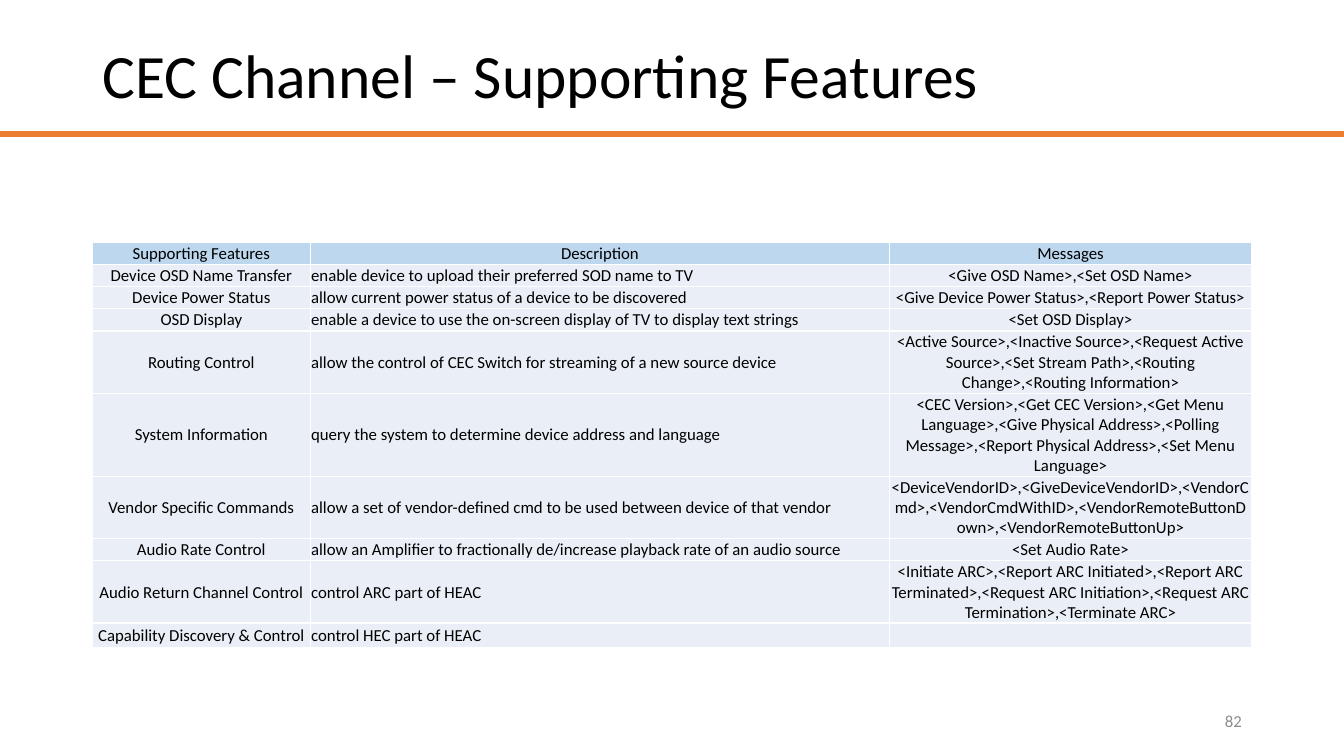
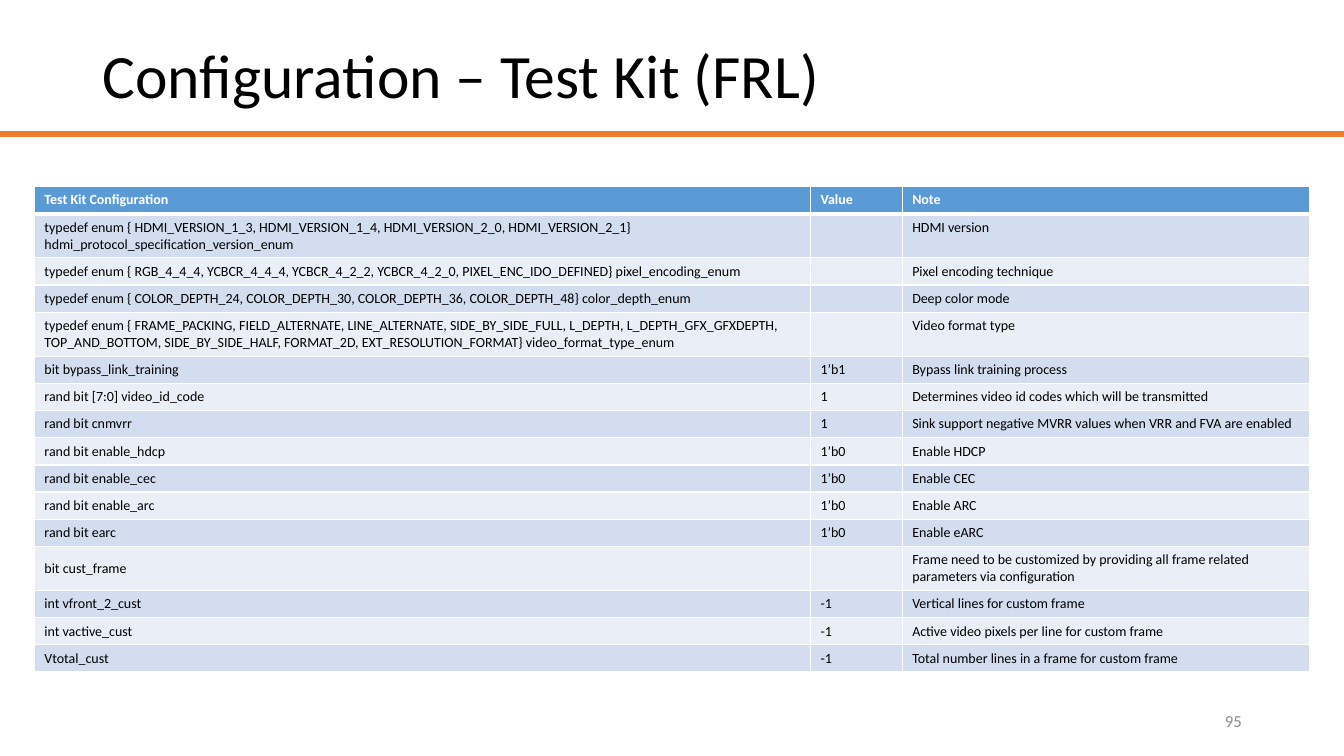
from dataclasses import dataclass

import lxml.etree
import pptx
import pptx.dml.color
import pptx.enum.shapes
import pptx.enum.text
import pptx.oxml.ns
import pptx.util

Cm = pptx.util.Cm
Pt = pptx.util.Pt
Align = pptx.enum.text.PP_ALIGN
Anchor = pptx.enum.text.MSO_ANCHOR
qn = pptx.oxml.ns.qn

FONT = "Calibri"
COLORS = {
    "rule": "ED7D31",
    "text": "000000",
    "number": "8C8C8C",
    "white": "FFFFFF",
    "header_soft": "BDD7EE",
    "header_strong": "5B9BD5",
    "band_dark": "D2DEEF",
    "band_light": "EAEFF7",
}
SLIDE_WIDTH, SLIDE_HEIGHT = 33.87, 19.05
RULE_Y = 3.38


@dataclass(frozen=True)
class Box:
    left: float
    top: float
    width: float
    height: float


@dataclass(frozen=True)
class Column:
    width: float
    align: Align = Align.LEFT
    anchor: Anchor = Anchor.MIDDLE


@dataclass(frozen=True)
class TableStyle:
    size: float
    header_fill: str
    header_color: str
    header_bold: bool
    header_align: Align
    header_rule: float
    bands: tuple[str, ...]
    margins: tuple[float, float, float, float]


@dataclass(frozen=True)
class TablePage:
    title: str
    number: str
    left: float
    top: float
    columns: tuple[Column, ...]
    heights: tuple[float, ...]
    style: TableStyle
    rows: tuple[tuple[str, str, str], ...]


TITLE_BOX = Box(2.33, 1.02, 29.21, 3.68)
NUMBER_BOX = Box(23.93, 17.65, 7.62, 1.01)

ONE, THREE, FOUR, LAST = 0.56, 1.57, 2.09, 0.62
FEATURES = TablePage(
    title="CEC Channel – Supporting Features",
    number="82",
    left=2.33,
    top=6.1,
    columns=(
        Column(5.49, Align.CENTER),
        Column(14.6),
        Column(9.12, Align.CENTER),
    ),
    heights=(ONE, ONE, ONE, ONE, THREE, FOUR, THREE, ONE, THREE, LAST),
    style=TableStyle(12, "header_soft", "text", False, Align.CENTER, 1,
                     ("band_light",), (0.02, 0.02, 0.02, 0)),
    rows=(
        ("Supporting Features", "Description", "Messages"),
        ("Device OSD Name Transfer",
         "enable device to upload their preferred SOD name to TV",
         "<Give OSD Name>,<Set OSD Name>"),
        ("Device Power Status",
         "allow current power status of a device to be discovered",
         "<Give Device Power Status>,<Report Power Status>"),
        ("OSD Display",
         "enable a device to use the on-screen display of TV to display text strings",
         "<Set OSD Display>"),
        ("Routing Control",
         "allow the control of CEC Switch for streaming of a new source device",
         "<Active Source>,<Inactive Source>,<Request Active Source>,"
         "<Set Stream Path>,<Routing Change>,<Routing Information>"),
        ("System Information",
         "query the system to determine device address and language",
         "<CEC Version>,<Get CEC Version>,<Get Menu Language>,"
         "<Give Physical Address>,<Polling Message>,"
         "<Report Physical Address>,<Set Menu Language>"),
        ("Vendor Specific Commands",
         "allow a set of vendor-defined cmd to be used between device of that vendor",
         "<DeviceVendorID>,<GiveDeviceVendorID>,<VendorCmd>,"
         "<VendorCmdWithID>,<VendorRemoteButtonDown>,<VendorRemoteButtonUp>"),
        ("Audio Rate Control",
         "allow an Amplifier to fractionally de/increase playback rate of an audio source",
         "<Set Audio Rate>"),
        ("Audio Return Channel Control",
         "control ARC part of HEAC",
         "<Initiate ARC>,<Report ARC Initiated>,<Report ARC Terminated>,"
         "<Request ARC Initiation>,<Request ARC Termination>,<Terminate ARC>"),
        ("Capability Discovery & Control", "control HEC part of HEAC", ""),
    ),
)

SINGLE, DOUBLE = 0.68, 1.11
CONFIGURATION = TablePage(
    title="Configuration – Test Kit (FRL)",
    number="95",
    left=0.87,
    top=4.7,
    columns=(
        Column(19.56),
        Column(2.31, anchor=Anchor.TOP),
        Column(10.26, anchor=Anchor.TOP),
    ),
    heights=(SINGLE, DOUBLE, SINGLE, SINGLE, DOUBLE, *[SINGLE] * 7,
             DOUBLE, *[SINGLE] * 3),
    style=TableStyle(10, "header_strong", "white", True, Align.LEFT, 3,
                     ("band_dark", "band_light"), (0.25, 0.13, 0.25, 0.13)),
    rows=(
        ("Test Kit Configuration", "Value", "Note"),
        ("typedef enum { HDMI_VERSION_1_3, HDMI_VERSION_1_4, HDMI_VERSION_2_0, "
         "HDMI_VERSION_2_1} hdmi_protocol_specification_version_enum",
         "", "HDMI version"),
        ("typedef enum { RGB_4_4_4, YCBCR_4_4_4, YCBCR_4_2_2, YCBCR_4_2_0, "
         "PIXEL_ENC_IDO_DEFINED} pixel_encoding_enum",
         "", "Pixel encoding technique"),
        ("typedef enum { COLOR_DEPTH_24, COLOR_DEPTH_30, COLOR_DEPTH_36, "
         "COLOR_DEPTH_48} color_depth_enum",
         "", "Deep color mode"),
        ("typedef enum { FRAME_PACKING, FIELD_ALTERNATE, LINE_ALTERNATE, "
         "SIDE_BY_SIDE_FULL, L_DEPTH, L_DEPTH_GFX_GFXDEPTH, TOP_AND_BOTTOM, "
         "SIDE_BY_SIDE_HALF, FORMAT_2D, EXT_RESOLUTION_FORMAT} "
         "video_format_type_enum",
         "", "Video format type"),
        ("bit bypass_link_training", "1’b1", "Bypass link training process"),
        ("rand bit [7:0] video_id_code", "1",
         "Determines video id codes which will be transmitted"),
        ("rand bit cnmvrr", "1",
         "Sink support negative MVRR values when VRR and FVA are enabled"),
        ("rand bit enable_hdcp", "1’b0", "Enable HDCP"),
        ("rand bit enable_cec", "1’b0", "Enable CEC"),
        ("rand bit enable_arc", "1’b0", "Enable ARC"),
        ("rand bit earc", "1’b0", "Enable eARC"),
        ("bit cust_frame", "",
         "Frame need to be customized by providing all frame related "
         "parameters via configuration"),
        ("int vfront_2_cust", "-1", "Vertical lines for custom frame"),
        ("int vactive_cust", "-1", "Active video pixels per line for custom frame"),
        ("Vtotal_cust", "-1", "Total number lines in a frame for custom frame"),
    ),
)


def rgb(name: str) -> pptx.dml.color.RGBColor:
    return pptx.dml.color.RGBColor.from_string(COLORS[name])


def write(paragraph, text: str, size: float, color: str,
          align: Align = Align.LEFT, bold: bool = False) -> None:
    if text:
        paragraph.add_run().text = text
    else:
        paragraph._p.get_or_add_endParaRPr().set("sz", str(int(size * 100)))
    paragraph.alignment = align
    font = paragraph.font
    font.name, font.size, font.bold = FONT, Pt(size), bold
    font.color.rgb = rgb(color)


def add_text(slide, box: Box, text: str, size: float, color: str,
             align: Align, anchor: Anchor, spacing: float) -> None:
    frame = slide.shapes.add_textbox(
        Cm(box.left), Cm(box.top), Cm(box.width), Cm(box.height)).text_frame
    frame.word_wrap = True
    frame.vertical_anchor = anchor
    write(frame.paragraphs[0], text, size, color, align)
    frame.paragraphs[0].line_spacing = spacing


def add_rule(slide) -> None:
    rule = slide.shapes.add_connector(
        pptx.enum.shapes.MSO_CONNECTOR.STRAIGHT,
        0, Cm(RULE_Y), Cm(SLIDE_WIDTH), Cm(RULE_Y))
    rule.line.color.rgb = rgb("rule")
    rule.line.width = Pt(4)
    lxml.etree.SubElement(rule._element.spPr, qn("a:effectLst"))


def add_borders(cell, top: float, bottom: float) -> None:
    properties = cell._tc.get_or_add_tcPr()
    for side, width in (("L", 1), ("R", 1), ("T", top), ("B", bottom)):
        line = lxml.etree.SubElement(
            properties, qn(f"a:ln{side}"), w=str(int(Pt(width))))
        fill = lxml.etree.SubElement(line, qn("a:solidFill"))
        lxml.etree.SubElement(fill, qn("a:srgbClr"), val=COLORS["white"])


def add_table(slide, page: TablePage) -> None:
    style = page.style
    table = slide.shapes.add_table(
        len(page.rows), len(page.columns), Cm(page.left), Cm(page.top),
        Cm(sum(column.width for column in page.columns)),
        Cm(sum(page.heights))).table
    table.horz_banding = False
    for index, column in enumerate(page.columns):
        table.columns[index].width = Cm(column.width)
    for row, (height, texts) in enumerate(zip(page.heights, page.rows)):
        table.rows[row].height = Cm(height)
        header = row == 0
        fill = style.header_fill if header else style.bands[(row - 1) % len(style.bands)]
        for index, (column, text) in enumerate(zip(page.columns, texts)):
            cell = table.cell(row, index)
            add_borders(cell, style.header_rule if row == 1 else 1,
                        style.header_rule if header else 1)
            cell.fill.solid()
            cell.fill.fore_color.rgb = rgb(fill)
            cell.vertical_anchor = column.anchor
            (cell.margin_left, cell.margin_top,
             cell.margin_right, cell.margin_bottom) = map(Cm, style.margins)
            write(cell.text_frame.paragraphs[0], text, style.size,
                  style.header_color if header else "text",
                  style.header_align if header else column.align,
                  header and style.header_bold)


def add_page(deck, page: TablePage) -> None:
    slide = deck.slides.add_slide(deck.slide_layouts[6])
    add_rule(slide)
    add_text(slide, TITLE_BOX, page.title, 44, "text", Align.LEFT, Anchor.TOP, 0.9)
    add_table(slide, page)
    add_text(slide, NUMBER_BOX, page.number, 12, "number",
             Align.RIGHT, Anchor.MIDDLE, 1.0)


def main() -> None:
    deck = pptx.Presentation()
    deck.slide_width, deck.slide_height = Cm(SLIDE_WIDTH), Cm(SLIDE_HEIGHT)
    for page in (FEATURES, CONFIGURATION):
        add_page(deck, page)
    deck.save("out.pptx")


if __name__ == "__main__":
    main()
